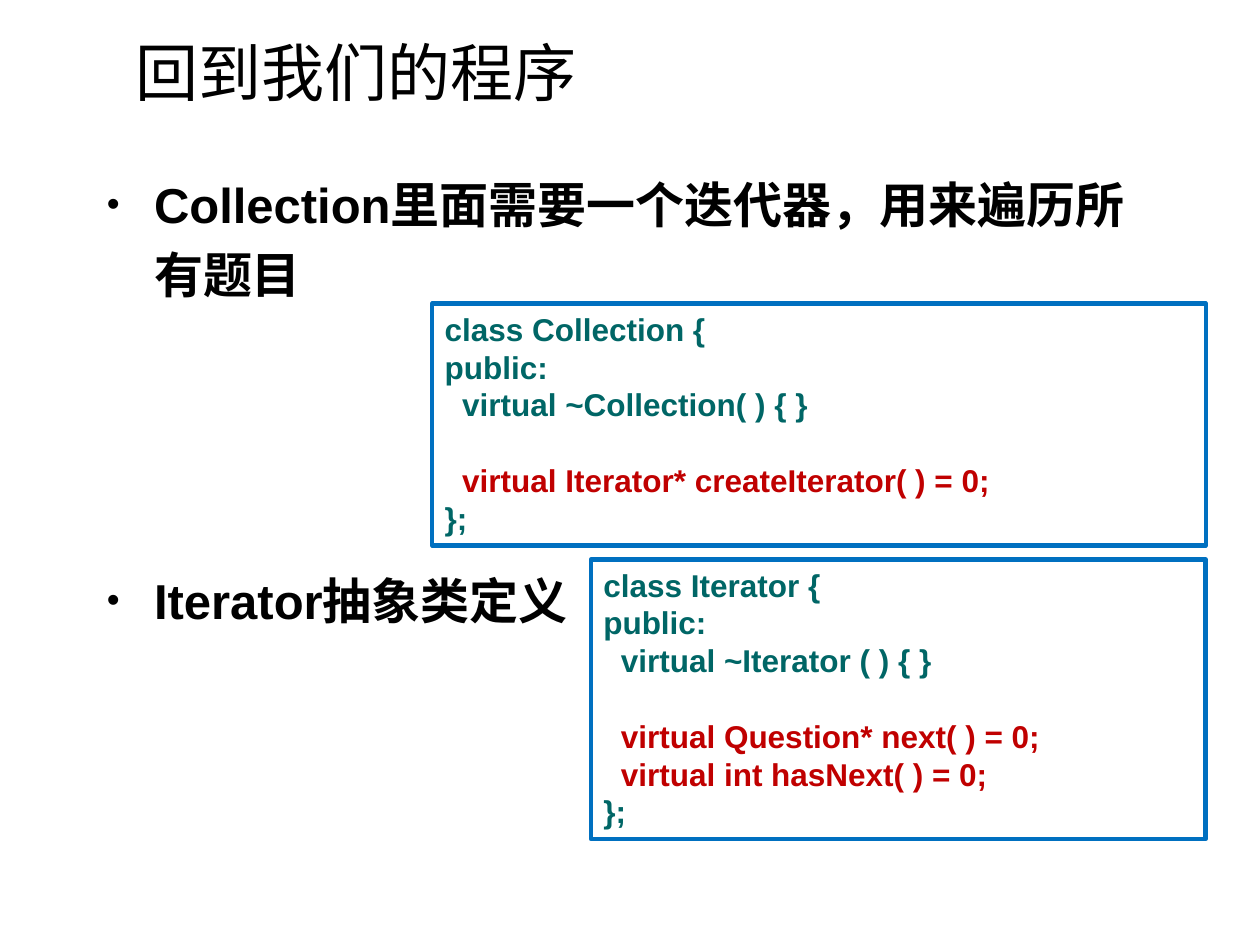
from pptx import Presentation
from pptx.dml.color import RGBColor
from pptx.enum.shapes import MSO_SHAPE
from pptx.enum.text import MSO_ANCHOR, PP_ALIGN
from pptx.util import Pt
from lxml import etree

RECT = MSO_SHAPE.RECTANGLE
TOP, MIDDLE = MSO_ANCHOR.TOP, MSO_ANCHOR.MIDDLE
LEFT = PP_ALIGN.LEFT
NS = "http://schemas.openxmlformats.org/drawingml/2006/main"

COLORS = {"text": "000000", "code": "006666", "key": "C00000", "edge": "0070C0"}
FONT = "Arial"
LINE = 21.6    # height of a code line
STEP = 10      # indent of a class member
HANG = 27      # hanging indent of a bullet

TITLE = "回到我们的程序"
# text, space before
POINTS = [
    ("Collection里面需要一个迭代器，用来遍历所有题目", 0),
    ("Iterator抽象类定义", 146),
]
# left, top, width, height; then lines: text, indent level, colour, blank lines above
CODES = [
    ((247, 173.5, 442, 138.2), [
        ("class Collection {", 0, "code", 0),
        ("public:", 0, "code", 0),
        ("virtual ~Collection( ) { }", 1, "code", 0),
        ("virtual Iterator* createIterator( ) = 0;", 1, "key", 1),
        ("};", 0, "code", 0),
    ]),
    ((337.7, 319.7, 351.3, 159.8), [
        ("class Iterator {", 0, "code", 0),
        ("public:", 0, "code", 0),
        ("virtual ~Iterator ( ) { }", 1, "code", 0),
        ("virtual Question* next( ) = 0;", 1, "key", 1),
        ("virtual int hasNext( ) = 0;", 1, "key", 0),
        ("};", 0, "code", 0),
    ]),
]


def write(frame, text, size, color="text", bold=True, line=None, above=0,
          margin=0, bullet=False):
    """Add one paragraph, filling the first if it is still empty."""
    first = frame.paragraphs[0]
    para = frame.add_paragraph() if first.runs else first
    para.alignment = LEFT
    para.space_before = Pt(above)
    if line:
        para.line_spacing = Pt(line)
    props = para._p.get_or_add_pPr()
    if margin:
        props.set("marL", str(Pt(margin)))
    if bullet:
        props.set("indent", str(-Pt(margin)))
        etree.SubElement(props, f"{{{NS}}}buSzPct", val="75000")
        etree.SubElement(props, f"{{{NS}}}buFont", typeface=FONT)
        etree.SubElement(props, f"{{{NS}}}buChar", char="•")
    run = para.add_run()
    run.text = text
    font = run.font
    font.name, font.size, font.bold = FONT, Pt(size), bold
    font.color.rgb = RGBColor.from_string(COLORS[color])


def text_box(slide, place, anchor=TOP):
    frame = slide.shapes.add_textbox(*map(Pt, place)).text_frame
    frame.word_wrap = True
    frame.vertical_anchor = anchor
    return frame


def code_box(slide, place, lines):
    box = slide.shapes.add_shape(RECT, *map(Pt, place))
    box.shadow.inherit = False
    box.fill.background()
    box.line.color.rgb = RGBColor.from_string(COLORS["edge"])
    box.line.width = Pt(2.5)
    frame = box.text_frame
    frame.word_wrap = True
    frame.vertical_anchor = TOP
    for text, level, color, gap in lines:
        write(frame, text, 18, color=color, line=LINE,
              above=gap * LINE, margin=level * STEP)


def main():
    deck = Presentation()
    deck.slide_width, deck.slide_height = Pt(720), Pt(540)
    slide = deck.slides.add_slide(deck.slide_layouts[6])

    title = text_box(slide, (70.6, 9.4, 668.9, 62.6), MIDDLE)
    write(title, TITLE, 36, bold=False)

    body = text_box(slide, (54, 90, 623.5, 412))
    for text, above in POINTS:
        write(body, text, 28, line=40, above=above, margin=HANG, bullet=True)

    for place, lines in CODES:
        code_box(slide, place, lines)
    deck.save("out.pptx")


if __name__ == "__main__":
    main()
